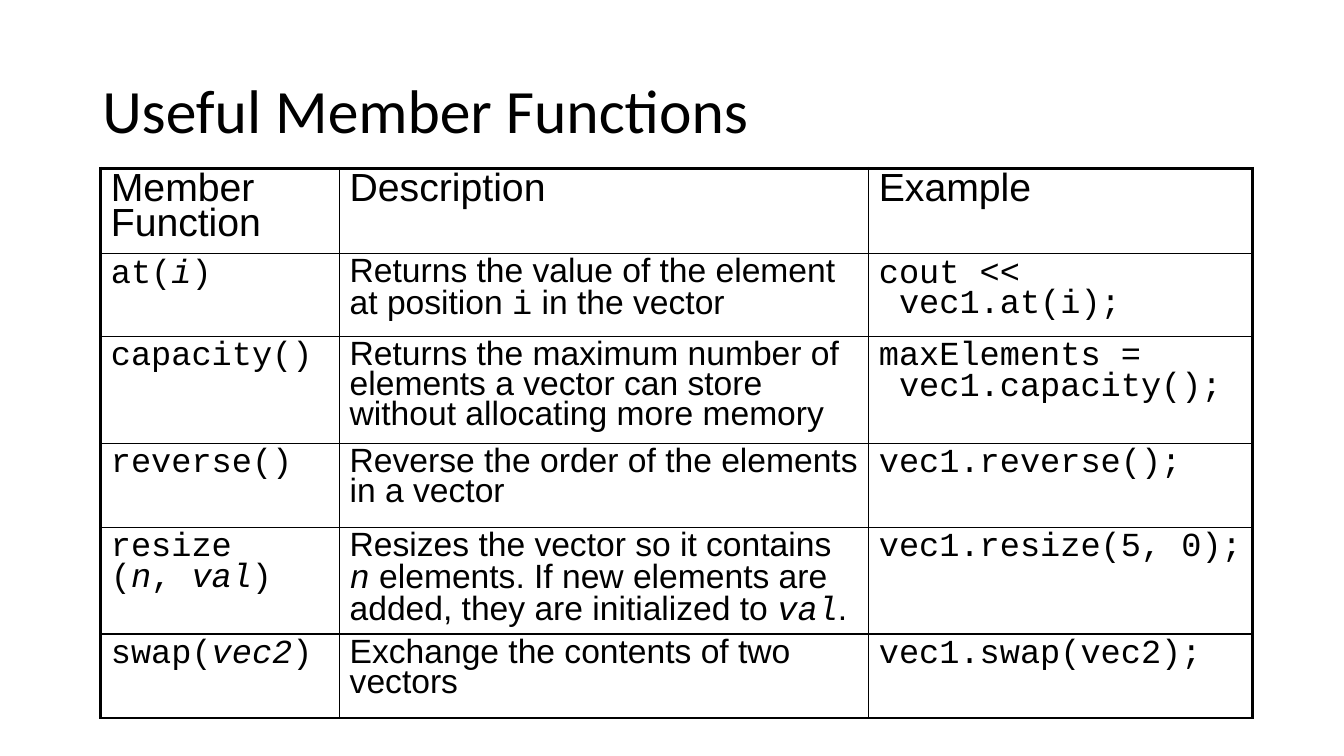
"""Build a slide with a table of useful vector member functions."""
from lxml import etree
from pptx import Presentation
from pptx import util as u
from pptx.dml.color import RGBColor
from pptx.enum import text
from pptx.oxml.ns import qn

BLACK = RGBColor(0, 0, 0)
SANS, MONO = "Arial", "Courier New"
THIN, THICK = 1, 2.25


def prose(words):
    return words, SANS, False


def code(words):
    return words, MONO, False


def argument(words):
    return words, MONO, True


TITLE = "Useful Member Functions"
HEADER = [
    [[prose("Member")], [prose("Function")]],
    [[prose("Description")]],
    [[prose("Example")]],
]
FUNCTIONS = [
    [
        [[code("at("), argument("i"), code(")")]],
        [[prose("Returns the value of the element at position "), code("i"),
          prose(" in the vector")]],
        [[code("cout <<")], [code(" vec1.at(i);")]],
    ],
    [
        [[code("capacity()")]],
        [[prose("Returns the maximum number of elements a vector can store "
                "without allocating more memory")]],
        [[code("maxElements =")], [code(" vec1.capacity();")]],
    ],
    [
        [[code("reverse()")]],
        [[prose("Reverse the order of the elements in a vector")]],
        [[code("vec1.reverse();")]],
    ],
    [
        [[code("resize")],
         [code("("), argument("n"), code(", "), argument("val"), code(")")]],
        [[prose("Resizes the vector so it contains "), argument("n"),
          prose(" elements. If new elements are added, they are initialized to "),
          argument("val"), prose(".")]],
        [[code("vec1.resize(5, 0);")]],
    ],
    [
        [[code("swap("), argument("vec2"), code(")")]],
        [[prose("Exchange the contents of two vectors")]],
        [[code("vec1.swap(vec2);")]],
    ],
]
ROWS = [HEADER] + FUNCTIONS
COLUMN_WIDTHS = [170.6, 378, 274.3]
ROW_HEIGHTS = [60, 59, 66, 60, 67, 60]


def draw_borders(cell, widths):
    properties = cell._tc.get_or_add_tcPr()
    for side, width in widths.items():
        line = etree.SubElement(properties, qn("a:" + side), w=str(u.Pt(width)))
        fill = etree.SubElement(line, qn("a:solidFill"))
        etree.SubElement(fill, qn("a:srgbClr"), val=str(BLACK))


def write_cell(cell, paragraphs, size):
    frame = cell.text_frame
    for index, spans in enumerate(paragraphs):
        para = frame.add_paragraph() if index else frame.paragraphs[0]
        para.line_spacing = 0.8
        para.font.size = u.Pt(size)
        para.font.color.rgb = BLACK
        for words, font, italic in spans:
            span = para.add_run()
            span.text = words
            span.font.name = font
            span.font.italic = italic


def add_title(page):
    box = page.shapes.add_textbox(u.Pt(66), u.Pt(28.8), u.Pt(828), u.Pt(104.4))
    frame = box.text_frame
    frame.word_wrap = True
    frame.vertical_anchor = text.MSO_ANCHOR.MIDDLE
    para = frame.paragraphs[0]
    para.text = TITLE
    para.line_spacing = 0.9
    para.font.name = "Calibri"
    para.font.size = u.Pt(44)
    para.font.color.rgb = BLACK


def add_function_table(page):
    table = page.shapes.add_table(
        len(ROWS), len(COLUMN_WIDTHS), u.Pt(72), u.Pt(120.2),
        u.Pt(sum(COLUMN_WIDTHS)), u.Pt(sum(ROW_HEIGHTS))).table
    table.first_row = table.horz_banding = False
    for column, width in zip(table.columns, COLUMN_WIDTHS):
        column.width = u.Pt(width)
    for row, height in zip(table.rows, ROW_HEIGHTS):
        row.height = u.Pt(height)
    last_row, last_column = len(ROWS) - 1, len(COLUMN_WIDTHS) - 1
    for r, contents in enumerate(ROWS):
        for c, paragraphs in enumerate(contents):
            cell = table.cell(r, c)
            write_cell(cell, paragraphs, 24 if r else 28)
            draw_borders(cell, {
                "lnL": THIN if c else THICK,
                "lnR": THICK if c == last_column else THIN,
                "lnT": THIN if r else THICK,
                "lnB": THICK if r == last_row else THIN,
            })
            cell.fill.background()


deck = Presentation()
deck.slide_width, deck.slide_height = u.Pt(960), u.Pt(540)
page = deck.slides.add_slide(deck.slide_layouts[6])
add_title(page)
add_function_table(page)
deck.save("out.pptx")
